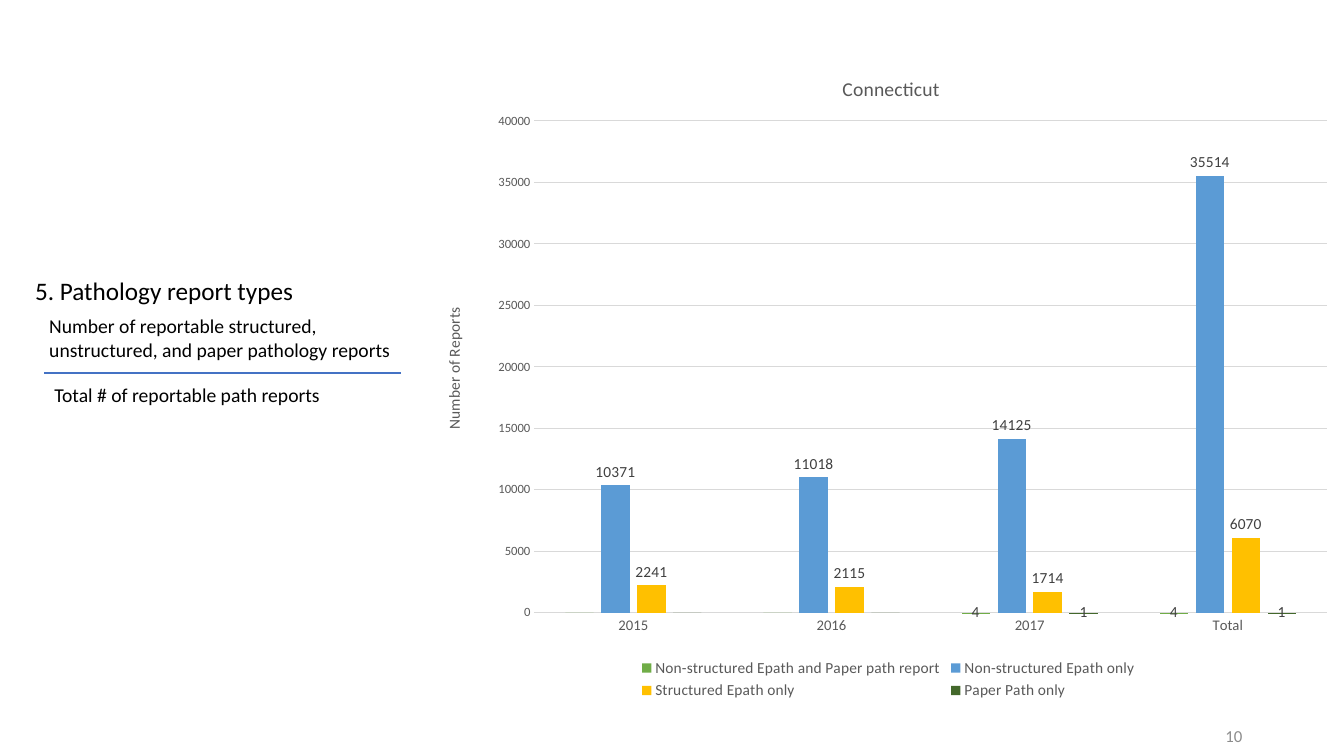
from collections import namedtuple

from pptx import Presentation
from pptx import util as u
from pptx.chart.data import CategoryChartData
from pptx.dml.color import RGBColor
from pptx.enum import chart as kinds, shapes, text
from pptx.oxml import ns
from lxml import etree

PX = 9144
Box = namedtuple("Box", "left top width height")


class Theme:
    """Colours, typeface and type sizes of the deck."""
    font = "Calibri"
    ink, muted, label, number = "000000", "595959", "404040", "8C8C8C"
    grid, rule = "D9D9D9", "4472C4"
    heading, body, footer = 18, 14, 12
    category, tick, caption = 10.5, 9, 11


CATEGORIES = ["2015", "2016", "2017", "Total"]
SERIES = [
    ("Non-structured Epath and Paper path report", [0, 0, 4, 4], "70AD47", "CENTER"),
    ("Non-structured Epath only", [10371, 11018, 14125, 35514], "5B9BD5", "OUTSIDE_END"),
    ("Structured Epath only", [2241, 2115, 1714, 6070], "FFC000", "OUTSIDE_END"),
    ("Paper Path only", [0, 0, 1, 1], "43682B", "CENTER"),
]


def assign(target, **values):
    """Set each named attribute on the target."""
    for name, value in values.items():
        setattr(target, name, value)


def style(font, size, color):
    """Apply typeface, size and colour to a font."""
    assign(font, name=Theme.font, size=u.Pt(size), bold=False)
    font.color.rgb = RGBColor.from_string(color)


def stroke(line, color, width):
    """Give a line its colour and width."""
    line.color.rgb = RGBColor.from_string(color)
    line.width = u.Pt(width)


def write(page, box, words, size, color=Theme.ink, align=text.PP_ALIGN.LEFT,
          anchor=text.MSO_ANCHOR.TOP):
    """Add a wrapped text box holding one paragraph."""
    frame = page.shapes.add_textbox(*(side * PX for side in box)).text_frame
    assign(frame, word_wrap=True, vertical_anchor=anchor)
    para = frame.paragraphs[0]
    para.alignment = align
    span = para.add_run()
    span.text = words
    style(span.font, size, color)


def measure(page, box):
    """Draw the heading and the fraction that defines the measure."""
    left, top, width, height = box
    write(page, Box(left, top, 320, 71), "5. Pathology report types", Theme.heading)
    write(page, Box(left + 14, top + 39, width - 14, 57),
          "Number of reportable structured, unstructured, and paper pathology reports",
          Theme.body)
    write(page, Box(left + 19, top + 107, 301, height - 107),
          "Total # of reportable path reports", Theme.body)
    level = (top + 102) * PX
    bar = page.shapes.add_connector(shapes.MSO_CONNECTOR.STRAIGHT, (left + 19) * PX,
                                    level, (left + width - 1) * PX, level)
    stroke(bar.line, Theme.rule, 1.5)
    etree.SubElement(bar._element.spPr, ns.qn("a:effectLst"))


def arrange(part, index, outer, box, inner=False):
    """Fix a chart part at a box given relative to the chart frame."""
    for old in part.findall(ns.qn("c:layout")):
        part.remove(old)
    layout = etree.Element(ns.qn("c:layout"))
    part.insert(index, layout)
    manual = etree.SubElement(layout, ns.qn("c:manualLayout"))
    values = [("layoutTarget", "inner")] if inner else []
    values += [("xMode", "edge"), ("yMode", "edge")]
    ratios = (box[0] / outer.width, box[1] / outer.height,
              *(size / whole for size, whole in zip(box[2:], outer[2:])))
    values += zip("xywh", (f"{ratio:.4f}" for ratio in ratios))
    for name, value in values:
        etree.SubElement(manual, ns.qn(f"c:{name}")).set("val", value)


def caption(title, words, size):
    """Write a chart or axis title."""
    para = title.text_frame.paragraphs[0]
    span = para.add_run()
    span.text = words
    style(span.font, size, Theme.muted)


def paint_series(series, values, color, position):
    """Colour one series and label its non-zero values."""
    series.format.fill.solid()
    series.format.fill.fore_color.rgb = RGBColor.from_string(color)
    series.invert_if_negative = False
    labels = series.data_labels
    assign(labels, show_value=True, number_format="#######0",
           number_format_is_linked=False,
           position=kinds.XL_LABEL_POSITION[position])
    style(labels.font, Theme.caption, Theme.label)
    zeros = [index for index, value in enumerate(values) if value == 0]
    for order, index in enumerate(zeros):
        hidden = etree.Element(ns.qn("c:dLbl"))
        labels._element.insert(order, hidden)
        etree.SubElement(hidden, ns.qn("c:idx")).set("val", str(index))
        etree.SubElement(hidden, ns.qn("c:delete")).set("val", "1")


def report_chart(page, box):
    """Draw the clustered columns of report counts."""
    data = CategoryChartData(number_format="#######0")
    data.categories = CATEGORIES
    for name, values, _, _ in SERIES:
        data.add_series(name, values)
    chart = page.shapes.add_chart(kinds.XL_CHART_TYPE.COLUMN_CLUSTERED,
                                  *(side * PX for side in box), data).chart
    style(chart.font, 10, Theme.ink)
    assign(chart, has_title=True, has_legend=True)
    caption(chart.chart_title, "Connecticut", Theme.body)
    arrange(chart.chart_title._element, 1, box, (403, 25))

    assign(chart.plots[0], gap_width=219, overlap=-27, vary_by_categories=False)
    for series, (_, values, color, position) in zip(chart.plots[0].series, SERIES):
        paint_series(series, values, color, position)

    for axis, size in ((chart.category_axis, Theme.category),
                       (chart.value_axis, Theme.tick)):
        assign(axis, major_tick_mark=kinds.XL_TICK_MARK.NONE,
               minor_tick_mark=kinds.XL_TICK_MARK.NONE)
        style(axis.tick_labels.font, size, Theme.muted)
    stroke(chart.category_axis.format.line, Theme.grid, 0.75)
    counts = chart.value_axis
    assign(counts, minimum_scale=0, maximum_scale=40000, major_unit=5000,
           has_major_gridlines=True, has_title=True)
    assign(counts.tick_labels, number_format="#######0", number_format_is_linked=False)
    counts.format.line.fill.background()
    stroke(counts.major_gridlines.format.line, Theme.grid, 0.75)
    caption(counts.axis_title, "Number of Reports", Theme.caption)
    counts.axis_title.text_frame._element.bodyPr.set("rot", "-5400000")
    arrange(counts.axis_title._element, 1, box, (8, 256))

    assign(chart.legend, position=kinds.XL_LEGEND_POSITION.BOTTOM, include_in_layout=False)
    style(chart.legend.font, Theme.caption, Theme.muted)
    arrange(chart.legend._element, 1, box, (202, 604, 500, 48))
    plot_area = chart._chartSpace.find(".//" + ns.qn("c:plotArea"))
    arrange(plot_area, 0, box, (101, 74, 786, 488), inner=True)


def page_number(page, box):
    """Write the page number at the foot."""
    write(page, box, "10", Theme.footer, Theme.number, text.PP_ALIGN.RIGHT,
          text.MSO_ANCHOR.MIDDLE)


def main():
    """Build and save the deck."""
    deck = Presentation()
    assign(deck, slide_width=1333 * PX, slide_height=750 * PX)
    page = deck.slides.add_slide(deck.slide_layouts[6])
    measure(page, Box(25, 268, 374, 141))
    page_number(page, Box(942, 710, 300, 40))
    report_chart(page, Box(429, 46, 904, 654))
    deck.save("out.pptx")


if __name__ == "__main__":
    main()
